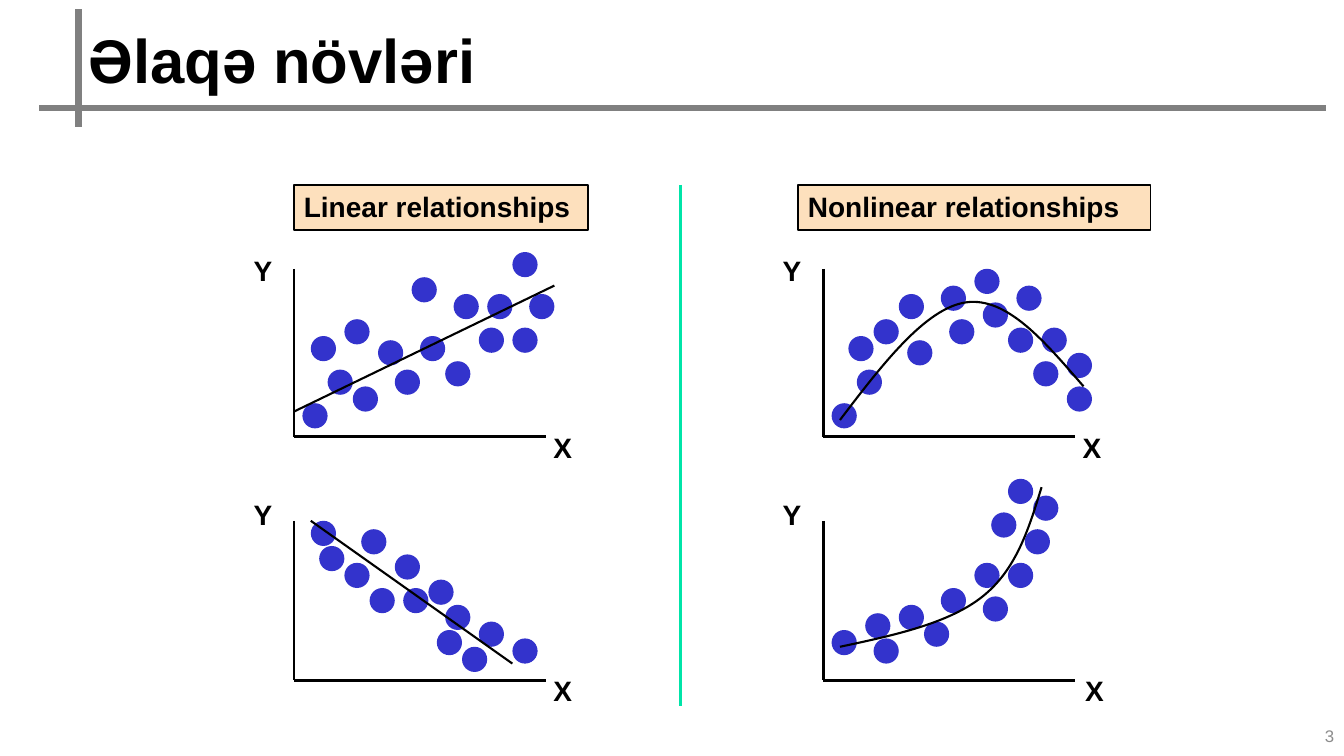
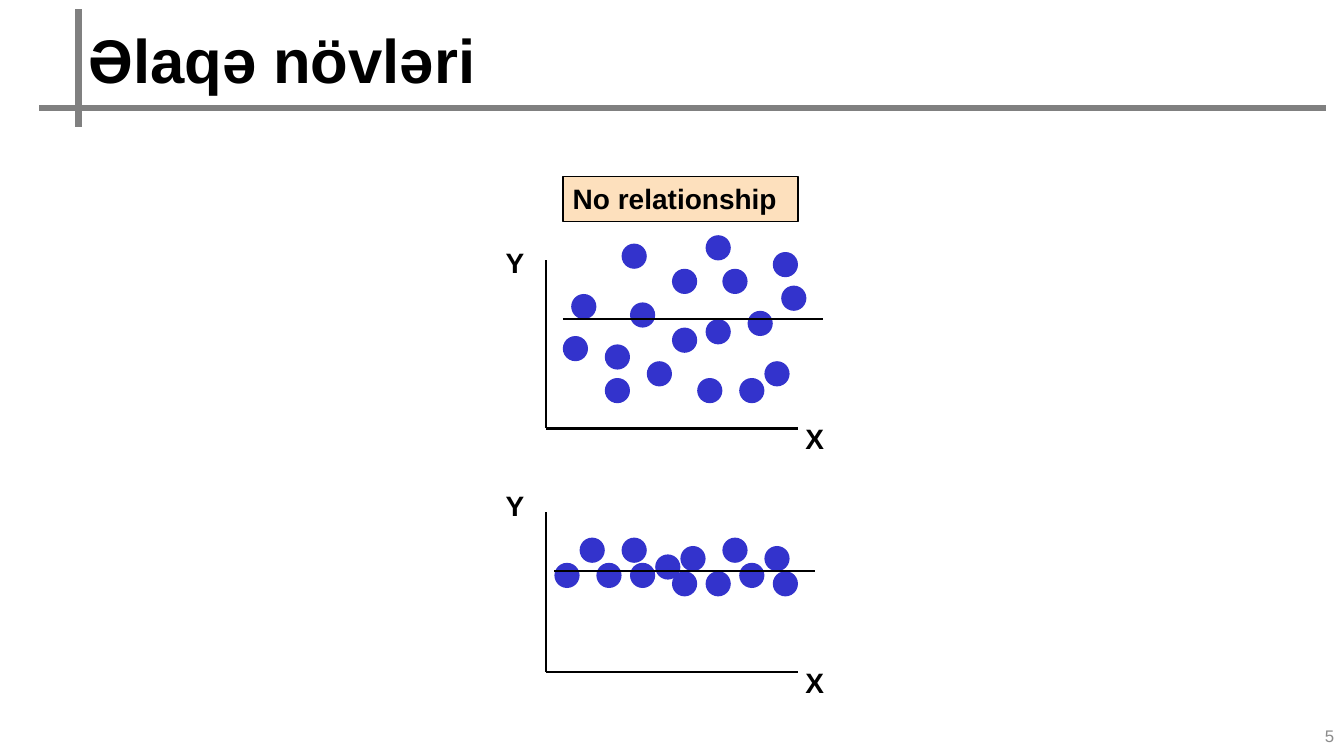
import lxml.etree
import pptx
import pptx.dml.color
import pptx.enum.shapes
import pptx.enum.text
import pptx.oxml.ns
import pptx.util

COLORS = {
    "ink": "000000",
    "rule": "808080",
    "number": "8C8C8C",
    "dot": "3333CC",
    "label": "FDE0BD",
    "divider": "00E4A8",
}
COLORS = {name: pptx.dml.color.RGBColor.from_string(value) for name, value in COLORS.items()}
FONT = "Arial"
COLUMNS = 160
DOT = 3
AXIS_LENGTH = 30
LABEL_HEIGHT = 5.4
TITLE = "Əlaqə növləri"
qn = pptx.oxml.ns.qn

presentation = pptx.Presentation()
presentation.slide_width = pptx.util.Inches(40 / 3)
presentation.slide_height = pptx.util.Inches(7.5)
UNIT = presentation.slide_width // COLUMNS


def add_line(slide, start, end, color, width):
    ends = [int(value * UNIT) for value in (*start, *end)]
    line = slide.shapes.add_connector(pptx.enum.shapes.MSO_CONNECTOR.STRAIGHT, *ends)
    line.line.color.rgb = COLORS[color]
    line.line.width = pptx.util.Pt(width)
    lxml.etree.SubElement(line.element.spPr, qn("a:effectLst"))


def add_text(slide, text, box, size, color="ink", bold=True, wrap=True, fill=None):
    box = [int(value * UNIT) for value in box]
    if fill:
        shape = slide.shapes.add_shape(pptx.enum.shapes.MSO_SHAPE.RECTANGLE, *box)
        shape.shadow.inherit = False
        shape.fill.solid()
        shape.fill.fore_color.rgb = COLORS[fill]
        shape.line.color.rgb = COLORS["ink"]
        shape.line.width = pptx.util.Pt(1)
    else:
        shape = slide.shapes.add_textbox(*box)
    shape.text_frame.word_wrap = wrap
    shape.text_frame.vertical_anchor = pptx.enum.text.MSO_ANCHOR.TOP
    paragraph = shape.text_frame.paragraphs[0]
    paragraph.text = text
    paragraph.alignment = pptx.enum.text.PP_ALIGN.LEFT
    font = paragraph.runs[0].font
    font.name = FONT
    font.size = pptx.util.Pt(size)
    font.bold = bold
    font.color.rgb = COLORS[color]
    return shape


# Plot positions count columns right of the Y axis and rows above the X axis.
rising = {
    "origin": (35, 52), "height": 20, "x_label": 29.7,
    "dots": [(1, 4), (4, 8), (26, 22), (28, 17), (7, 6), (23, 17), (18, 9), (19, 17),
             (14, 19), (2, 12), (6, 14), (10, 11.5), (22, 13), (15, 12), (12, 8), (26, 13)],
    "trend": [(0, 3), (31, 18)],
}
falling = {
    "origin": (35, 81), "height": 19, "x_label": 29.7,
    "dots": [(20, 4), (3, 16), (26, 5), (8, 18), (18, 9), (22, 7), (12, 15),
             (2, 19), (6, 14), (9, 11), (17, 6), (16, 12), (13, 11)],
    "trend": [(2, 19), (26, 2)],
}
arch = {
    "origin": (98, 52), "height": 20, "x_label": 29.7,
    "dots": [(1, 4), (4, 8), (29, 10), (23, 18), (9, 17), (29, 6), (25, 9), (19, 16),
             (14, 18), (3, 12), (6, 14), (10, 11.5), (22, 13), (15, 14), (18, 20), (26, 13)],
    "trend": [(2, 2), (7.1, 8.7), (12.2, 15.3), (17, 16), (21.9, 16.7), (26.4, 11.3), (31, 6)],
}
growth = {
    "origin": (98, 81), "height": 19, "x_label": 30,
    "dots": [(1, 6), (5, 8), (25, 22), (24, 18), (6, 5), (20, 20), (19, 10),
             (18, 14), (22, 24), (9, 9), (22, 14), (14, 11), (12, 7)],
    "trend": [(2, 4), (8.6, 5.4), (15, 6.8), (19, 10), (23, 13.2), (24.5, 18.1), (26, 23)],
}
scattered = {
    "origin": (65, 51), "height": 20, "x_label": 29.7,
    "dots": [(19, 23), (2, 11), (26, 8), (28, 17), (7, 6), (9, 22), (19, 13), (21, 19), (27, 21),
             (15, 19), (7, 10), (10, 15), (23, 6), (15, 12), (12, 8), (3, 16), (18, 6), (24, 14)],
    "trend": [(2, 13), (33, 13)],
}
flat = {
    "origin": (65, 80), "height": 19, "x_label": 29.7,
    "dots": [(27, 12), (6, 13), (26, 15), (9, 16), (21, 16), (23, 13), (13, 14),
             (1, 13), (4, 16), (10, 13), (19, 12), (16, 15), (15, 12)],
    "trend": [(1, 12), (32, 12)],
}
pages = [
    {"number": "3", "plots": [falling, rising, growth, arch],
     "labels": [("Linear relationships", 35, 22, 35), ("Nonlinear relationships", 95, 22, 42)],
     "dividers": [((81, 22), (81, 84))]},
    {"number": "5", "plots": [flat, scattered],
     "labels": [("No relationship", 67, 21, 28)],
     "dividers": []},
]

for page in pages:
    slide = presentation.slides.add_slide(presentation.slide_layouts[6])
    add_text(slide, TITLE, (9.36, 2.04, 150, 10), 44)
    add_line(slide, (9.36, 1.08), (9.36, 15.1), "rule", 4.5)
    add_line(slide, (4.68, 12.84), (157.9, 12.84), "rule", 4.5)
    number = add_text(slide, page["number"], (124, 85.2, 36, 4.8), 12, "number", bold=False)
    number.text_frame.vertical_anchor = pptx.enum.text.MSO_ANCHOR.MIDDLE
    number.text_frame.paragraphs[0].alignment = pptx.enum.text.PP_ALIGN.RIGHT

    for plot in page["plots"]:
        left, base = plot["origin"]
        add_line(slide, (left, base - plot["height"]), (left, base), "ink", 2)
        add_line(slide, (left, base), (left + AXIS_LENGTH, base), "ink", 2)
        add_text(slide, "Y", (left - 6, base - 22.4, 4.7, 5.2), 20, wrap=False)
        add_text(slide, "X", (left + plot["x_label"], base - 1.4, 4.7, 5.2), 20, wrap=False)
        for column, row in plot["dots"]:
            box = [int(value * UNIT) for value in (left + column, base - row, DOT, DOT)]
            dot = slide.shapes.add_shape(pptx.enum.shapes.MSO_SHAPE.OVAL, *box)
            dot.shadow.inherit = False
            dot.fill.solid()
            dot.fill.fore_color.rgb = COLORS["dot"]
            dot.line.fill.background()

        trend = [(left + column, base - row) for column, row in plot["trend"]]
        if len(trend) == 2:
            add_line(slide, *trend, "ink", 1.5)
            continue
        points = [(x * UNIT, y * UNIT) for x, y in trend]
        builder = slide.shapes.build_freeform(*points[0])
        builder.add_line_segments(points[1:], close=False)
        curve = builder.convert_to_shape()
        curve.shadow.inherit = False
        curve.fill.background()
        curve.line.color.rgb = COLORS["ink"]
        curve.line.width = pptx.util.Pt(1.5)
        segments = list(curve.element.iter(qn("a:lnTo")))
        outline = segments[0].getparent()
        for first in range(0, len(segments), 3):
            bezier = lxml.etree.SubElement(outline, qn("a:cubicBezTo"))
            for segment in segments[first:first + 3]:
                bezier.append(segment[0])
                outline.remove(segment)

    for text, left, top, width in page["labels"]:
        add_text(slide, text, (left, top, width, LABEL_HEIGHT), 20, fill="label")
    for start, end in page["dividers"]:
        add_line(slide, start, end, "divider", 2.25)

presentation.save("out.pptx")
